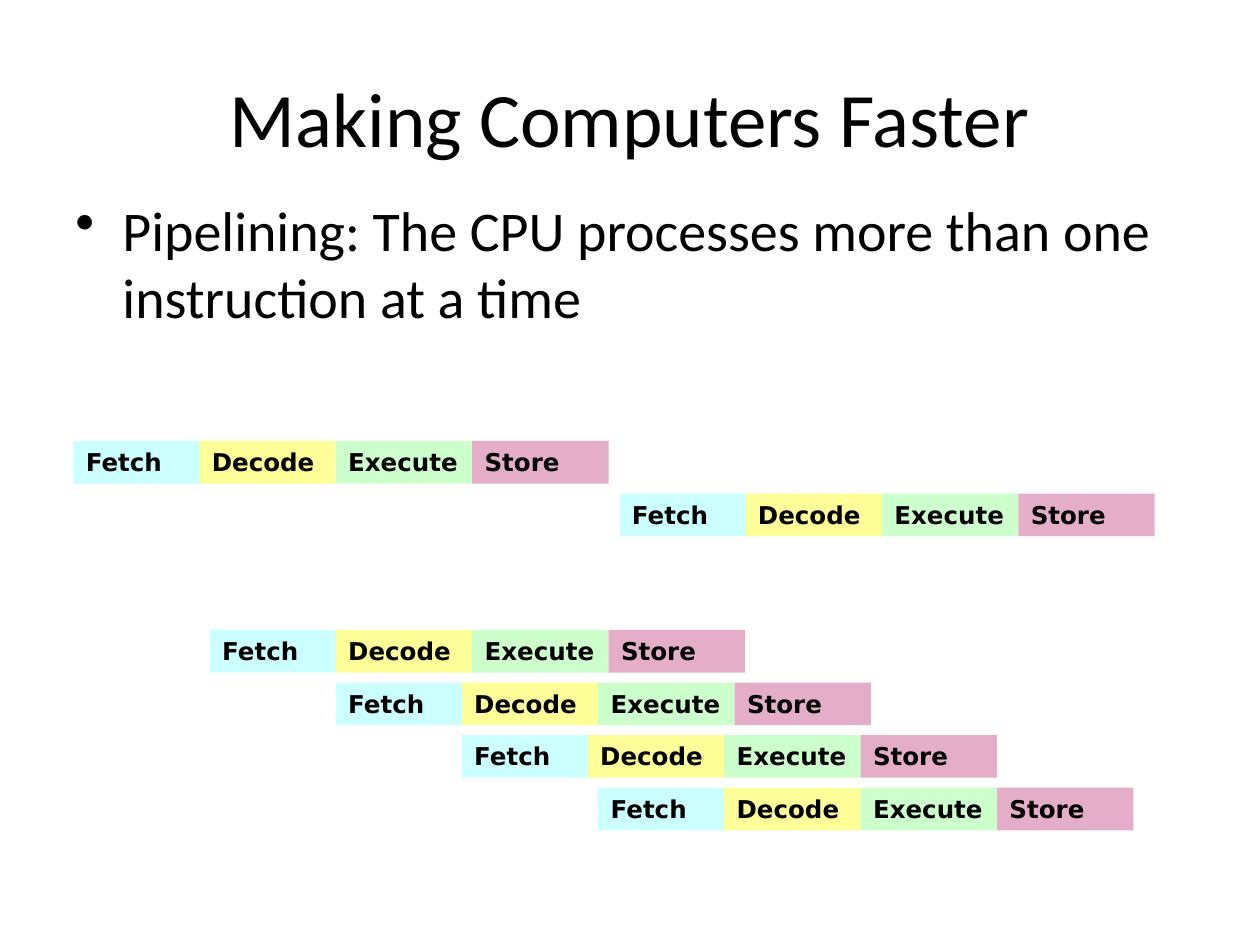
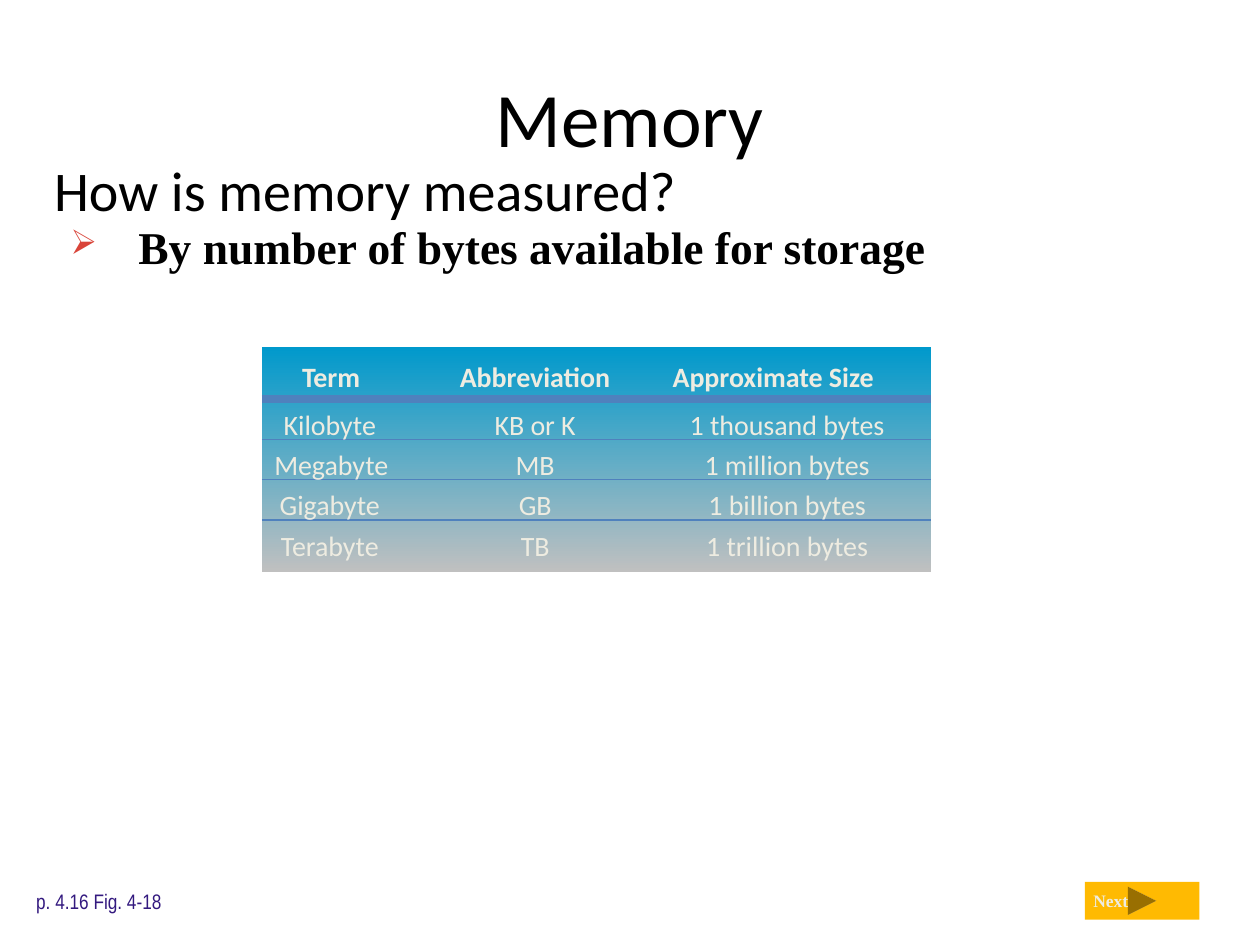
from dataclasses import dataclass
from typing import NamedTuple, Optional

from lxml.etree import SubElement
from pptx import Presentation
from pptx.dml.color import RGBColor
from pptx.enum.shapes import MSO_CONNECTOR, MSO_SHAPE
from pptx.enum.text import MSO_ANCHOR, PP_ALIGN
from pptx.oxml.ns import qn
from pptx.util import Cm, Pt


class TextStyle(NamedTuple):
    font: str
    size: float
    color: str
    bold: bool = False


@dataclass(frozen=True)
class Theme:
    title: TextStyle = TextStyle("Calibri", 44, "000000")
    body: TextStyle = TextStyle("Calibri", 32, "000000")
    point: TextStyle = TextStyle("Times New Roman", 26, "000000", True)
    stage: TextStyle = TextStyle("DejaVu Sans", 14, "000000", True)
    header: TextStyle = TextStyle("Calibri", 16, "EEECE1", True)
    cell: TextStyle = TextStyle("Calibri", 16, "EEECE1")
    reference: TextStyle = TextStyle("Arial Narrow", 12, "33197F")
    button: TextStyle = TextStyle("Times New Roman", 10, "EEECE1", True)
    button_fill: str = "FFBA02"
    panel_top: str = "0099CC"
    panel_bottom: str = "C0C0C0"
    rule: str = "4F81BD"
    arrow_bullet: str = "D94439"


THEME = Theme()


class Area(NamedTuple):
    """Left, top, width and height in centimetres."""
    left: float
    top: float
    width: float
    height: float

    def lengths(self) -> list:
        return [Cm(value) for value in self]


class Bullet(NamedTuple):
    mark: str
    margin: float
    hanging: float
    color: Optional[str] = None
    percent: int = 100


class Tab(NamedTuple):
    position: float
    align: str


class Stage(NamedTuple):
    name: str
    color: str
    offset: float


class Schedule(NamedTuple):
    """Instructions below one another, each starting at its own time."""
    top: float
    starts: tuple


TITLE_AREA = Area(1.27, 0.76, 22.86, 3.18)

STAGE_WIDTH, STAGE_HEIGHT, STAGE_PITCH = 2.75, 0.86, 1.06
STAGES = (
    Stage("Fetch", "CCFFFF", 0),
    Stage("Decode", "FFFF99", 2.54),
    Stage("Execute", "CCFFCC", 5.29),
    Stage("Store", "E4AEC9", 8.04),
)
SCHEDULES = (
    Schedule(8.89, (1.48, 12.49)),
    Schedule(12.7, (4.23, 6.77, 9.31, 12.06)),
)

PANEL = Area(5.28, 6.99, 13.49, 4.55)
HEADER_TABS = (Tab(3.18, "l"), Tab(7.47, "l"))
CELL_TABS = (Tab(1.12, "ctr"), Tab(5.26, "ctr"), Tab(10.34, "ctr"))
HEADERS = ("Term", "Abbreviation", "Approximate Size")
UNITS = (
    ("Kilobyte", "KB or K", "1 thousand bytes"),
    ("Megabyte", "MB", "1 million bytes"),
    ("Gigabyte", "GB", "1 billion bytes"),
    ("Terabyte", "TB", "1 trillion bytes"),
)
HEADER_RULE_TOP, ROW_PITCH = 8.05, 0.81


def rgb(color: str) -> RGBColor:
    return RGBColor.from_string(color)


def style_paragraph(para, style: TextStyle) -> None:
    for span in para.runs:
        span.font.name = style.font
        span.font.size = Pt(style.size)
        span.font.bold = style.bold
        span.font.color.rgb = rgb(style.color)


def add_bullet(para, bullet: Bullet) -> None:
    props = para._p.get_or_add_pPr()
    props.set("marL", str(Cm(bullet.margin)))
    props.set("indent", str(-Cm(bullet.hanging)))
    if bullet.color:
        color = SubElement(props, qn("a:buClr"))
        SubElement(color, qn("a:srgbClr"), val=bullet.color)
    SubElement(props, qn("a:buSzPct"), val=str(bullet.percent * 1000))
    SubElement(props, qn("a:buChar"), char=bullet.mark)


def add_tabs(para, tabs: tuple) -> None:
    tab_list = SubElement(para._p.get_or_add_pPr(), qn("a:tabLst"))
    for tab in tabs:
        SubElement(tab_list, qn("a:tab"), pos=str(Cm(tab.position)), algn=tab.align)


def add_text(page, area: Area, text: str, style: TextStyle,
             bullet: Optional[Bullet] = None, tabs: tuple = (),
             spacing: Optional[float] = None):
    box = page.shapes.add_textbox(*area.lengths())
    frame = box.text_frame
    frame.word_wrap = True
    frame.text = text
    for para in frame.paragraphs:
        if bullet:
            add_bullet(para, bullet)
        if tabs:
            add_tabs(para, tabs)
        if spacing:
            para.line_spacing = spacing
        style_paragraph(para, style)
    return box


def add_plain_shape(page, kind: MSO_SHAPE, area: Area, color: Optional[str] = None):
    shape = page.shapes.add_shape(kind, *area.lengths())
    shape.shadow.inherit = False
    shape.line.fill.background()
    if color:
        shape.fill.solid()
        shape.fill.fore_color.rgb = rgb(color)
    return shape


def add_titled_page(deck, title: str):
    page = deck.slides.add_slide(deck.slide_layouts[6])
    box = add_text(page, TITLE_AREA, title, THEME.title)
    box.text_frame.vertical_anchor = MSO_ANCHOR.MIDDLE
    box.text_frame.paragraphs[0].alignment = PP_ALIGN.CENTER
    return page


def add_stage(page, stage: Stage, start: float, top: float) -> None:
    area = Area(start + stage.offset, top, STAGE_WIDTH, STAGE_HEIGHT)
    shape = add_plain_shape(page, MSO_SHAPE.RECTANGLE, area, stage.color)
    frame = shape.text_frame
    frame.text = stage.name
    frame.margin_right = 0
    frame.vertical_anchor = MSO_ANCHOR.TOP
    para = frame.paragraphs[0]
    para.alignment = PP_ALIGN.LEFT
    style_paragraph(para, THEME.stage)


def add_rule(page, top: float, weight: float) -> None:
    """Draw a line across the unit panel."""
    rule = page.shapes.add_connector(
        MSO_CONNECTOR.STRAIGHT, Cm(PANEL.left), Cm(top),
        Cm(PANEL.left + PANEL.width), Cm(top))
    rule.line.color.rgb = rgb(THEME.rule)
    rule.line.width = Pt(weight)
    SubElement(rule._element.spPr, qn("a:effectLst"))


def add_unit_panel(page) -> None:
    panel = add_plain_shape(page, MSO_SHAPE.RECTANGLE, PANEL)
    panel.fill.gradient()
    panel.fill.gradient_angle = 270
    colors = (THEME.panel_top, THEME.panel_bottom)
    for position, (stop, color) in enumerate(zip(panel.fill.gradient_stops, colors)):
        stop.position = position
        stop.color.rgb = rgb(color)

    add_text(page, Area(5.84, PANEL.top, 12.93, 1.07), "\t".join(HEADERS),
             THEME.header, tabs=HEADER_TABS, spacing=1.2)
    add_rule(page, HEADER_RULE_TOP, 4.5)
    for row in range(1, len(UNITS)):
        add_rule(page, HEADER_RULE_TOP + row * ROW_PITCH, 0.75)
    rows = "\n".join("\t" + "\t".join(unit) for unit in UNITS)
    add_text(page, Area(PANEL.left, 7.95, 13.54, 3.53), rows,
             THEME.cell, tabs=CELL_TABS, spacing=1.2)


def build_pipelining(deck) -> None:
    page = add_titled_page(deck, "Making Computers Faster")
    add_text(page, Area(1.27, 3.81, 22.86, 12.57),
             "Pipelining: The CPU processes more than one instruction at a time",
             THEME.body, bullet=Bullet("•", 0.95, 0.95))
    for schedule in SCHEDULES:
        for row, start in enumerate(schedule.starts):
            for stage in STAGES:
                add_stage(page, stage, start, schedule.top + row * STAGE_PITCH)


def build_memory(deck) -> None:
    page = add_titled_page(deck, "Memory")
    add_text(page, Area(0.84, 3.02, 23.85, 2.9), "How is memory measured?", THEME.body)
    add_text(page, Area(0.48, 17.78, 4.29, 0.76), "p. 4.16 Fig. 4-18", THEME.reference)
    add_plain_shape(page, MSO_SHAPE.ACTION_BUTTON_FORWARD_OR_NEXT,
                    Area(21.87, 17.78, 2.31, 0.76), THEME.button_fill)
    add_text(page, Area(21.79, 17.81, 1.3, 0.69), "Next", THEME.button)
    add_unit_panel(page)
    add_text(page, Area(0.84, 4.29, 23.85, 2.9),
             "By number of bytes available for storage", THEME.point,
             bullet=Bullet("➢", 1.7, 1.37, THEME.arrow_bullet, 75))


def main() -> None:
    deck = Presentation()
    deck.slide_width, deck.slide_height = Cm(25.4), Cm(19.05)
    build_pipelining(deck)
    build_memory(deck)
    deck.save("out.pptx")


if __name__ == "__main__":
    main()
